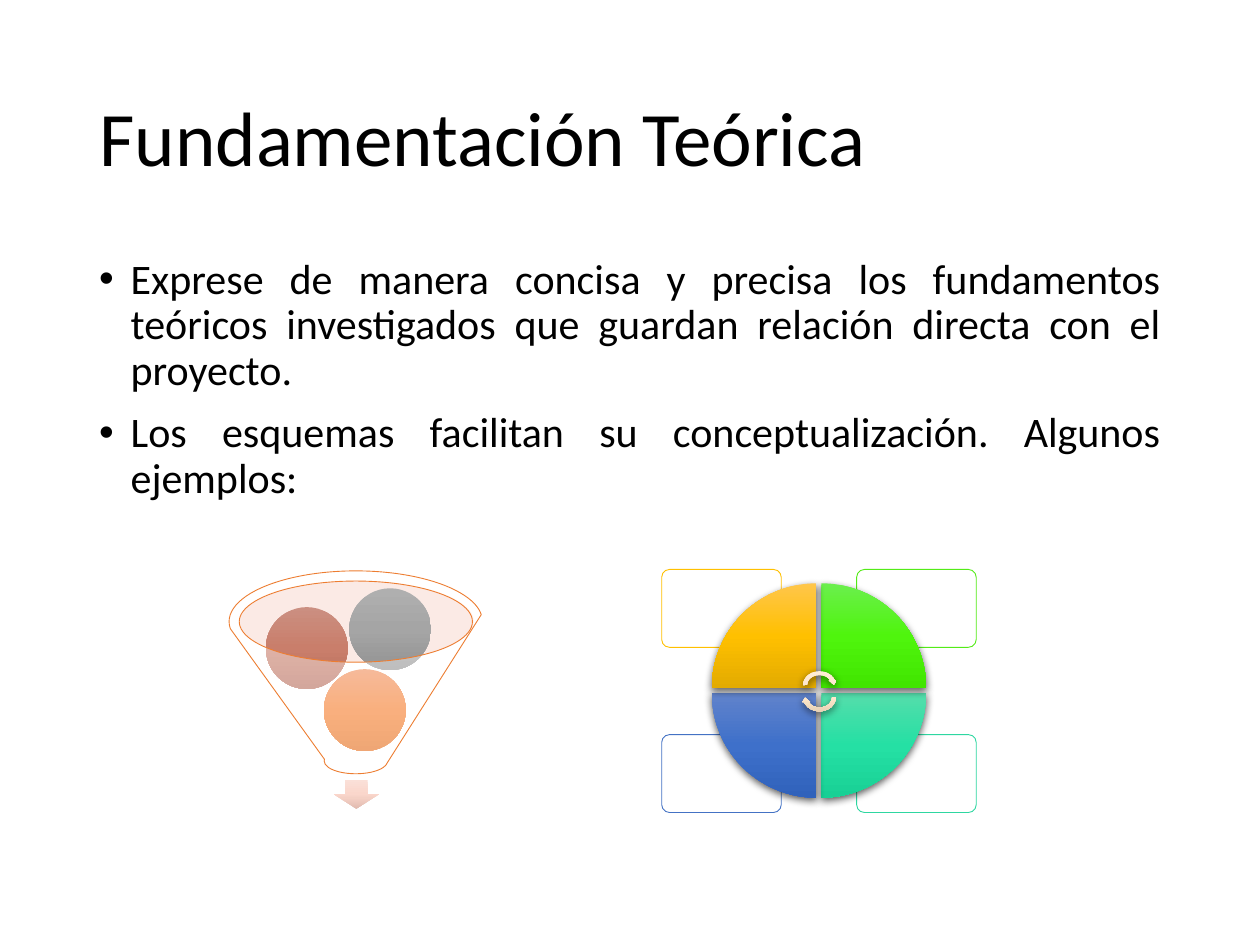
from pptx import Presentation
from pptx import util as u
from pptx.dml.color import RGBColor
from pptx.enum import shapes, text
from pptx.oxml import parse_xml
from pptx.oxml.ns import nsdecls, qn

SHAPE = shapes.MSO_SHAPE
FONT = "Calibri"
BULLETS = [
    "Exprese de manera concisa y precisa los fundamentos teóricos investigados "
    "que guardan relación directa con el proyecto. ",
    "Los esquemas facilitan su conceptualización. Algunos ejemplos:",
]
BALLS = [
    (6.53, 13.49, ("F18C57", "F67B28", "E56C19")),
    (5.36, 12.24, ("CB8F81", "C97E6B", "B76D5B")),
    (7.04, 11.86, ("AFAFAF", "A5A5A5", "939393")),
]
# column, row, rotation, outline, gradient
QUADRANTS = [
    (1, 1, 180, "2ED7A1", ("55DDAB", "25E0A4", "18D095")),
    (0, 1, 270, "4472C4", ("6183CB", "3E70CA", "3062BB")),
    (1, 0, 90, "53EB17", ("6BEF4D", "4FF50D", "41E500")),
    (0, 0, 0, "FFC000", ("FFC64B", "FFC000", "E3AB00")),
]
CREAM = ("FFEED8", "FFE8CC", "E5CFB3")


def rgb(value):
    """Return the colour for a hex string."""
    return RGBColor.from_string(value)


def place(sp, x, y, w, h):
    """Move and size a shape, in centimetres."""
    sp.left, sp.top, sp.width, sp.height = (u.Cm(v) for v in (x, y, w, h))


def write(p, words, size=24, color="000000", align=text.PP_ALIGN.LEFT,
          before=0, bullet=None):
    """Write formatted text into a paragraph."""
    if bullet:
        pPr = p._p.get_or_add_pPr()
        pPr.set("marL", str(u.Cm(0.635)))
        pPr.set("indent", str(-u.Cm(0.635)))
        pPr.append(parse_xml(f'<a:buFont {nsdecls("a")} typeface="Arial"/>'))
        pPr.append(parse_xml(f'<a:buChar {nsdecls("a")} char="{bullet}"/>'))
    p.alignment = align
    p.line_spacing = 0.9
    p.space_before = u.Pt(before)
    r = p.add_run()
    r.text = words
    r.font.name, r.font.size = FONT, u.Pt(size)
    r.font.color.rgb = rgb(color)


def add_shape(slide, kind, box, fill=None, alpha=100, grad=None, line=None,
              rotation=0, shadow=False):
    """Add a preset shape with a plain or graded fill."""
    sp = slide.shapes.add_shape(kind, *(u.Cm(v) for v in box))
    sp.rotation = rotation
    sp.shadow.inherit = False
    if grad:
        set_gradient(sp, grad)
    else:
        sp.fill.solid()
        sp.fill.fore_color.rgb = rgb(fill)
        color = sp._element.spPr.find(qn("a:solidFill"))[0]
        color.append(parse_xml(f'<a:alpha {nsdecls("a")} val="{alpha * 1000}"/>'))
    if line:
        sp.line.color.rgb = rgb(line)
        sp.line.width = u.Pt(0.5)
    else:
        sp.line.fill.background()
    if shadow:
        add_shadow(sp)
    return sp


def set_gradient(sp, colors):
    """Fill a shape from top to bottom, whatever its rotation."""
    stops = "".join(
        f'<a:gs pos="{i * 50000}"><a:srgbClr val="{c}"/></a:gs>'
        for i, c in enumerate(colors))
    sp.fill.background()
    spPr = sp._element.spPr
    spPr.replace(spPr.find(qn("a:noFill")), parse_xml(
        f'<a:gradFill {nsdecls("a")} rotWithShape="0"><a:gsLst>{stops}</a:gsLst>'
        '<a:lin ang="5400000" scaled="0"/></a:gradFill>'))


def add_shadow(sp):
    """Give a shape a soft shadow below it."""
    sp._element.spPr.find(qn("a:effectLst")).append(parse_xml(
        f'<a:outerShdw {nsdecls("a")} blurRad="{u.Pt(4.5)}" dist="{u.Pt(1.5)}" '
        'dir="5400000" algn="ctr" rotWithShape="0"><a:srgbClr val="000000">'
        '<a:alpha val="63000"/></a:srgbClr></a:outerShdw>'))


def add_title(slide, words):
    """Fill the title placeholder."""
    sp = slide.shapes.title
    place(sp, 1.75, 1.02, 21.9, 3.68)
    tf = sp.text_frame
    tf.auto_size = text.MSO_AUTO_SIZE.NONE
    tf.vertical_anchor = text.MSO_ANCHOR.MIDDLE
    write(tf.paragraphs[0], words, size=44)


def add_bullets(slide, items):
    """Add the justified bullet list."""
    sp = slide.shapes.add_textbox(*(u.Cm(v) for v in (1.75, 5.08, 21.9, 12.09)))
    tf = sp.text_frame
    tf.word_wrap = True
    for i, item in enumerate(items):
        p = tf.add_paragraph() if i else tf.paragraphs[0]
        write(p, item, align=text.PP_ALIGN.JUSTIFY, before=10 if i else 0,
              bullet="•")


def add_funnel(slide):
    """Draw the funnel with its balls and outlet arrow."""
    add_shape(slide, SHAPE.OVAL, (4.83, 11.71, 4.72, 1.63), fill="F6CCBE", alpha=40)
    add_shape(slide, SHAPE.DOWN_ARROW, (6.73, 15.72, 0.91, 0.58),
              grad=("FAE0D8", "FAD6CB", "E2BCB1"))
    for x, y, colors in BALLS:
        add_shape(slide, SHAPE.OVAL, (x, y, 1.65, 1.65), grad=colors)
    add_shape(slide, SHAPE.FUNNEL, (4.62, 11.51, 5.11, 4.09), fill="FFFFFF",
              alpha=40, line="ED7D31")


def add_cycle(slide):
    """Draw the four-part cycle with its corner boxes and centre arrows."""
    for col, row, _, line, _ in QUADRANTS:
        box = (13.34 + 3.93 * col, 11.48 + 3.33 * row, 2.41, 1.57)
        sp = add_shape(slide, SHAPE.ROUNDED_RECTANGLE, box, fill="FFFFFF",
                       alpha=90, line=line)
        sp.adjustments[0] = 0.1
    for col, row, rotation, _, colors in QUADRANTS:
        box = (14.35 + 2.21 * col, 11.76 + 2.21 * row, 2.11, 2.11)
        add_shape(slide, SHAPE.PIE_WEDGE, box, grad=colors, rotation=rotation,
                  shadow=True)
    for y, rotation in ((13.49, 0), (13.74, 180)):
        add_shape(slide, SHAPE.CIRCULAR_ARROW, (16.15, y, 0.74, 0.64),
                  grad=CREAM, rotation=rotation, shadow=True)


def main():
    """Build and save the slide."""
    prs = Presentation()
    prs.slide_width, prs.slide_height = u.Cm(25.4), u.Cm(19.05)
    slide = prs.slides.add_slide(prs.slide_layouts[5])
    add_funnel(slide)
    add_cycle(slide)
    add_title(slide, "Fundamentación Teórica")
    add_bullets(slide, BULLETS)
    prs.save("out.pptx")


if __name__ == "__main__":
    main()
